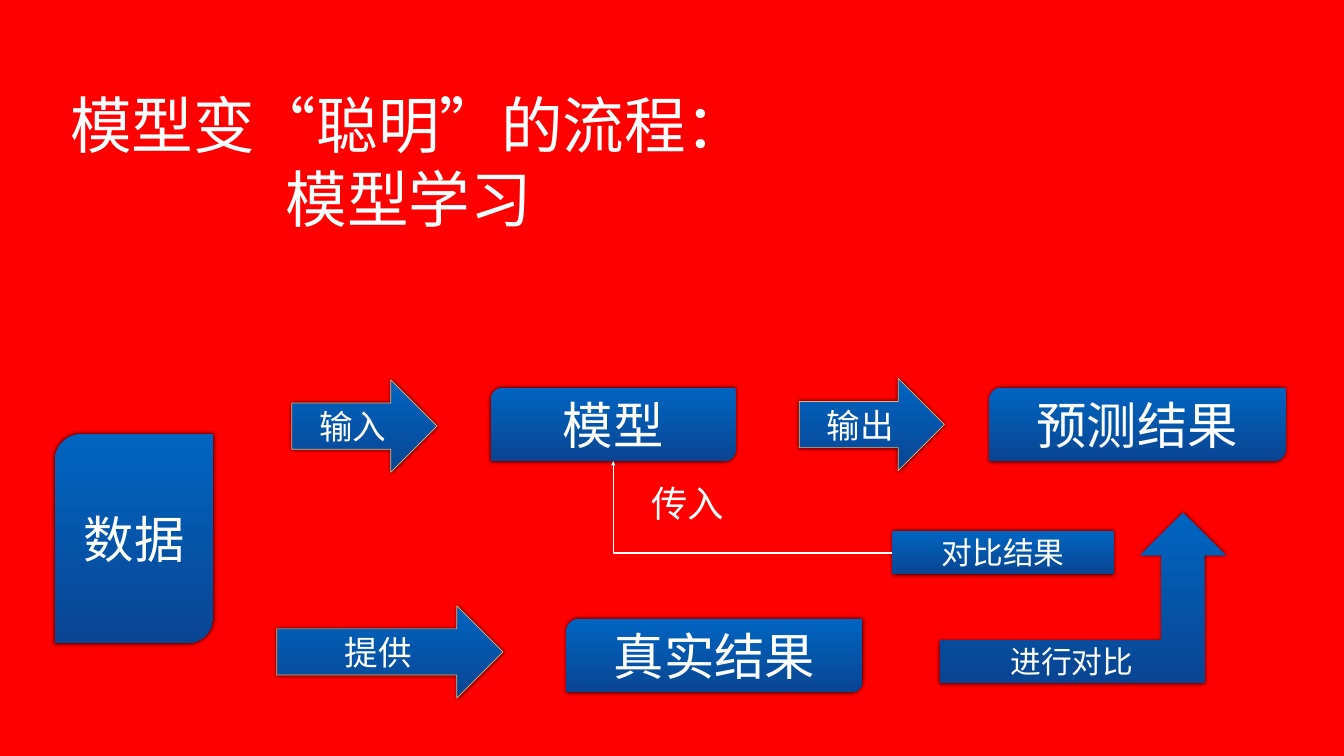
from lxml import etree
from pptx import Presentation
from pptx.dml.color import RGBColor
from pptx.enum import shapes, text
from pptx.oxml.ns import qn
from pptx.util import Inches, Pt

RED = RGBColor(0xFF, 0x00, 0x00)
WHITE = RGBColor(0xFF, 0xFF, 0xFF)
LIGHT_BLUE = RGBColor(0x00, 0x65, 0xC1)
DARK_BLUE = RGBColor(0x09, 0x45, 0x93)
GOLD = RGBColor(0xE2, 0xB5, 0x72)
FONT = "Roboto"
SHAPE = shapes.MSO_SHAPE


def inches(box):
    return [Inches(length) for length in box]


def write(shape, lines, size):
    frame = shape.text_frame
    frame.word_wrap = True
    frame.vertical_anchor = text.MSO_ANCHOR.MIDDLE
    frame.margin_left = frame.margin_right = Inches(0.06)
    frame.margin_top = frame.margin_bottom = Inches(0.06)
    frame.text = "\n".join(lines)
    for para in frame.paragraphs:
        para.alignment = text.PP_ALIGN.CENTER
        para.font.size = Pt(size)
        para.font.name = FONT
        para.font.color.rgb = WHITE


def add_label(page, box, lines, size):
    write(page.shapes.add_textbox(*inches(box)), lines, size)


def add_shadow(shape):
    shape.shadow.inherit = False
    effects = shape._element.spPr.find(qn("a:effectLst"))
    shadow = etree.SubElement(effects, qn("a:outerShdw"), blurRad=str(Pt(6)),
                              dist="0", dir="18900000", rotWithShape="0")
    colour = etree.SubElement(shadow, qn("a:srgbClr"), val="000000")
    etree.SubElement(colour, qn("a:alpha"), val="80000")


def add_step(page, kind, box, label, size, outline=None):
    shape = page.shapes.add_shape(kind, *inches(box))
    shape.fill.gradient()
    shape.fill.gradient_angle = 270
    for stop, colour in zip(shape.fill.gradient_stops, (LIGHT_BLUE, DARK_BLUE)):
        stop.color.rgb = colour
    if outline is None:
        shape.line.fill.background()
    else:
        shape.line.color.rgb = outline
        shape.line.width = Pt(1)
    add_shadow(shape)
    write(shape, [label], size)


def add_block(page, box, label):
    add_step(page, SHAPE.ROUND_2_DIAG_RECTANGLE, box, label, 72)


def add_arrow(page, box, label):
    add_step(page, SHAPE.RIGHT_ARROW, box, label, 48, GOLD)


def add_feedback_line(page, box):
    left, top, width, height = box
    ends = inches((left, top, left + width, top + height))
    line = page.shapes.add_connector(shapes.MSO_CONNECTOR.ELBOW, *ends)
    line.line.color.rgb = WHITE
    line.line.width = Pt(2)
    properties = line._element.spPr
    properties.find(qn("a:xfrm")).set("rot", "10800000")
    properties.find(qn("a:prstGeom")).set("prst", "bentConnector2")
    etree.SubElement(properties.find(qn("a:ln")), qn("a:tailEnd"), type="triangle")
    etree.SubElement(properties, qn("a:effectLst"))


def add_flow(page, box):
    left, top, width, height = box

    def place(x, y, w, h):
        return left + x, top + y, w, h

    add_block(page, place(8.65, 0.18, 4.86, 1.46), "模型")
    add_block(page, place(0, 1.1, 3.14, 4.15), "数据")
    add_block(page, place(18.54, 0.18, 5.88, 1.46), "预测结果")
    add_arrow(page, place(4.7, 0.03, 2.88, 1.83), "输入")
    add_arrow(page, place(14.77, 0, 2.88, 1.83), "输出")
    add_arrow(page, place(4.4, 4.51, 4.49, 1.83), "提供")
    add_block(page, place(10.15, 4.77, 5.88, 1.46), "真实结果")
    add_step(page, SHAPE.BENT_UP_ARROW, place(17.56, 2.66, 5.67, 3.38), "进行对比", 44)
    add_step(page, SHAPE.RECTANGLE, place(16.62, 3.03, 4.39, 0.85), "对比结果", 44)
    add_feedback_line(page, place(11.08, 1.64, 5.54, 1.82))
    add_label(page, place(11.39, 1.97, 2.34, 0.99), ["传入"], 52)


def main():
    deck = Presentation()
    deck.slide_width, deck.slide_height = Inches(26.67), Inches(15)
    page = deck.slides.add_slide(deck.slide_layouts[6])
    page.background.fill.solid()
    page.background.fill.fore_color.rgb = RED
    add_label(page, (0.59, 1.44, 15.04, 3.51), ["模型变“聪明”的流程：", "模型学习"], 88)
    add_flow(page, (1.09, 7.51, 24.42, 6.34))
    deck.save("out.pptx")


if __name__ == "__main__":
    main()
